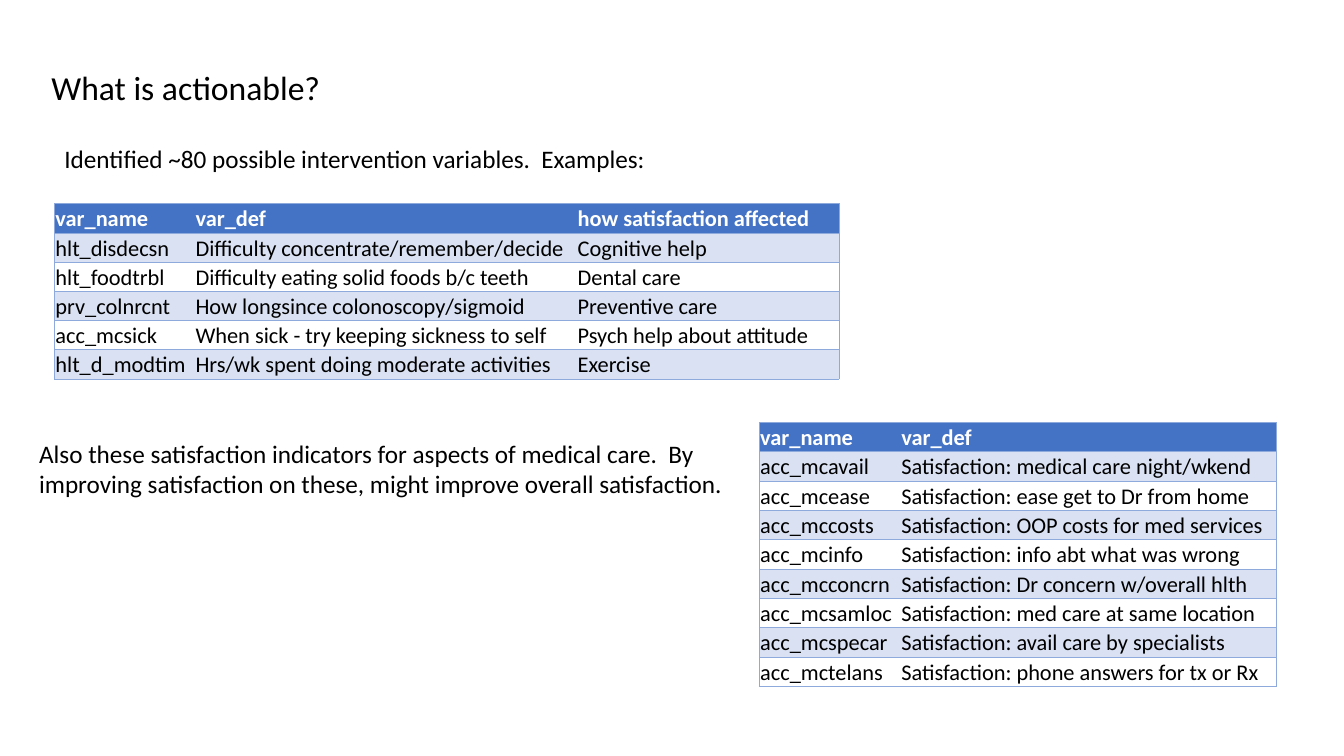
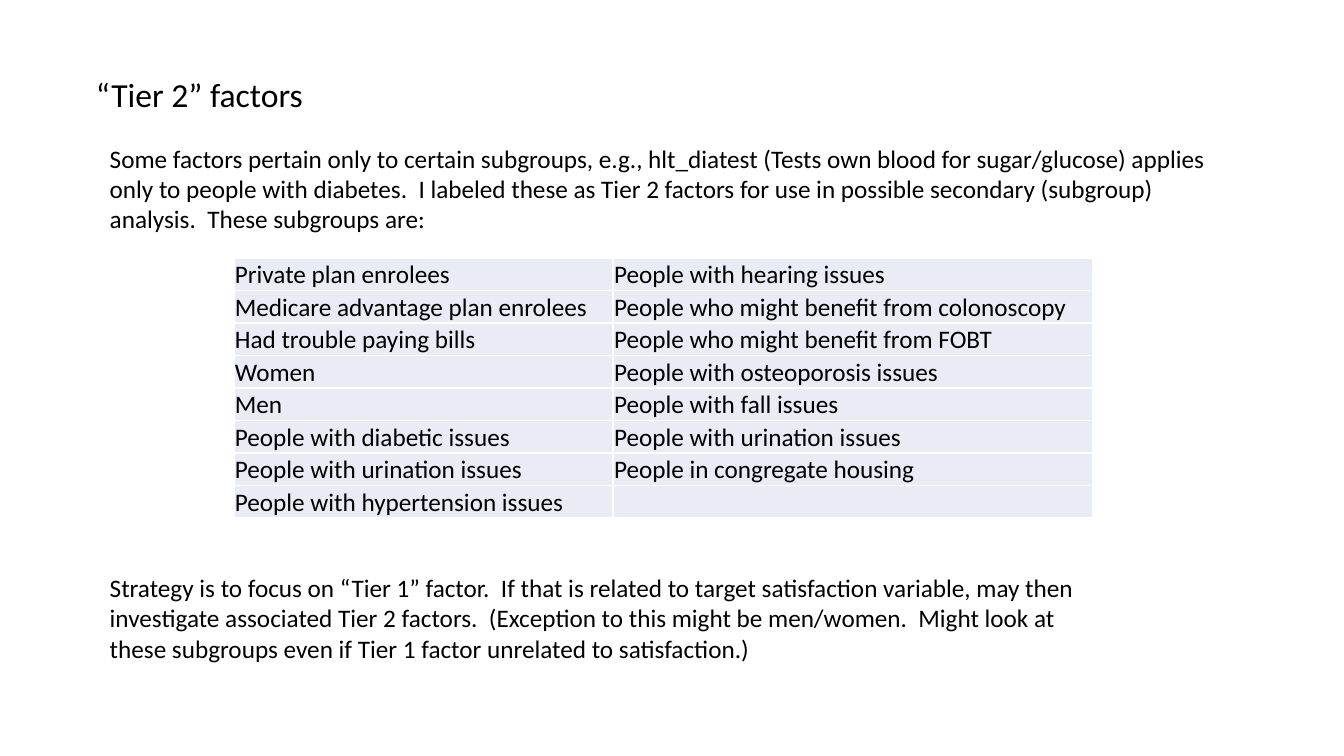
from dataclasses import dataclass

from lxml import etree
from pptx import Presentation
from pptx import util as u
from pptx.dml.color import RGBColor
from pptx.enum import text
from pptx.oxml import ns

PX = 9144


@dataclass(frozen=True)
class Theme:
    font: str = "Calibri"
    ink: str = "000000"
    paper: str = "FFFFFF"
    header: str = "4472C4"
    band: str = "D9E1F2"
    rule: str = "8EA9DB"
    plain: str = "E9EBF5"
    title_size: int = 24
    body_size: int = 18
    table_size: int = 16


@dataclass(frozen=True)
class Grid:
    header: str
    bands: tuple
    header_ink: str
    header_bold: bool
    size: int
    rule: str
    rule_width: float
    inner_columns: bool


def assign(target, values):
    for name, value in values.items():
        setattr(target, name, value)


class Deck:
    def __init__(self, theme):
        self.theme = theme
        self.show = Presentation()
        assign(self.show, {"slide_width": 1333 * PX, "slide_height": 750 * PX})
        self.slide = None
        self.variables = Grid(theme.header, (theme.band, None), theme.paper, True,
                              theme.table_size, theme.rule, 0.5, False)
        self.subgroups = Grid(theme.plain, (theme.plain,), theme.ink, False,
                              theme.body_size, theme.paper, 1, True)

    def put_words(self, frame, words, size, color, bold=False):
        paragraph = frame.paragraphs[0]
        paragraph.alignment = text.PP_ALIGN.LEFT
        if words:
            run = paragraph.add_run()
            run.text = words
            assign(run.font, {"name": self.theme.font, "size": u.Pt(size), "bold": bold})
            run.font.color.rgb = RGBColor.from_string(color)

    def fill_frame(self, frame, words, size):
        assign(frame, {"word_wrap": True,
                       "auto_size": text.MSO_AUTO_SIZE.SHAPE_TO_FIT_TEXT,
                       "vertical_anchor": text.MSO_ANCHOR.TOP})
        self.put_words(frame, words, size, self.theme.ink)

    def start(self, title, left, top, width):
        self.slide = self.show.slides.add_slide(self.show.slide_layouts[5])
        heading = self.slide.shapes.title
        assign(heading, {"left": left * PX, "top": top * PX,
                         "width": width * PX, "height": 50 * PX})
        self.fill_frame(heading.text_frame, title, self.theme.title_size)

    def body(self, words, left, top, width, height):
        box = self.slide.shapes.add_textbox(*(n * PX for n in (left, top, width, height)))
        self.fill_frame(box.text_frame, words, self.theme.body_size)

    def edge(self, cell, side, grid, visible):
        line = etree.SubElement(cell._tc.get_or_add_tcPr(), ns.qn(f"a:ln{side}"),
                                w=str(u.Pt(grid.rule_width)))
        if visible:
            paint = etree.SubElement(line, ns.qn("a:solidFill"))
            etree.SubElement(paint, ns.qn("a:srgbClr"), val=grid.rule)
        else:
            etree.SubElement(line, ns.qn("a:noFill"))

    def table(self, rows, grid, left, top, widths, height):
        table = self.slide.shapes.add_table(
            len(rows), len(widths), left * PX, top * PX, sum(widths) * PX, height * PX).table
        for column, width in zip(table.columns, widths):
            column.width = width * PX
        for r, row in enumerate(rows):
            table.rows[r].height = height * PX // len(rows)
            fill = grid.bands[(r - 1) % len(grid.bands)] if r else grid.header
            color = self.theme.ink if r else grid.header_ink
            for c, words in enumerate(row):
                cell = table.cell(r, c)
                assign(cell, {"margin_left": PX, "margin_right": PX, "margin_top": PX,
                              "margin_bottom": 0, "vertical_anchor": text.MSO_ANCHOR.BOTTOM})
                self.put_words(cell.text_frame, words, grid.size, color,
                               grid.header_bold and r == 0)
                self.edge(cell, "L", grid, grid.inner_columns or c == 0)
                self.edge(cell, "R", grid, grid.inner_columns or c == len(row) - 1)
                self.edge(cell, "T", grid, True)
                self.edge(cell, "B", grid, True)
                if fill:
                    cell.fill.solid()
                    cell.fill.fore_color.rgb = RGBColor.from_string(fill)
                else:
                    cell.fill.background()


INTERVENTIONS = [
    ("var_name", "var_def", "how satisfaction affected"),
    ("hlt_disdecsn", "Difficulty concentrate/remember/decide", "Cognitive help"),
    ("hlt_foodtrbl", "Difficulty eating solid foods b/c teeth", "Dental care"),
    ("prv_colnrcnt", "How longsince colonoscopy/sigmoid", "Preventive care"),
    ("acc_mcsick", "When sick - try keeping sickness to self", "Psych help about attitude"),
    ("hlt_d_modtim", "Hrs/wk spent doing moderate activities", "Exercise"),
]
INDICATORS = [
    ("var_name", "var_def"),
    ("acc_mcavail", "Satisfaction: medical care night/wkend"),
    ("acc_mcease", "Satisfaction: ease get to Dr from home"),
    ("acc_mccosts", "Satisfaction: OOP costs for med services"),
    ("acc_mcinfo", "Satisfaction: info abt what was wrong"),
    ("acc_mcconcrn", "Satisfaction: Dr concern w/overall hlth"),
    ("acc_mcsamloc", "Satisfaction: med care at same location"),
    ("acc_mcspecar", "Satisfaction: avail care by specialists"),
    ("acc_mctelans", "Satisfaction: phone answers for tx or Rx"),
]
SUBGROUPS = [
    ("Private plan enrolees", "People with hearing issues"),
    ("Medicare advantage plan enrolees", "People who might benefit from colonoscopy"),
    ("Had trouble paying bills", "People who might benefit from FOBT"),
    ("Women", "People with osteoporosis issues"),
    ("Men", "People with fall issues"),
    ("People with diabetic issues", "People with urination issues"),
    ("People with urination issues", "People in congregate housing"),
    ("People with hypertension issues", ""),
]


def main():
    deck = Deck(Theme())

    deck.start("What is actionable?", 41, 61, 1101)
    deck.body("Identified ~80 possible intervention variables.  Examples:", 54, 137, 1185, 40)
    deck.table(INTERVENTIONS, deck.variables, 54, 202, (139, 379, 260), 174)
    deck.body("Also these satisfaction indicators for aspects of medical care.  By improving "
              "satisfaction on these, might improve overall satisfaction.", 29, 430, 713, 71)
    deck.table(INDICATORS, deck.variables, 753, 419, (140, 373), 262)

    deck.start("“Tier 2” factors", 85, 68, 1163)
    deck.body("Some factors pertain only to certain subgroups, e.g., hlt_diatest (Tests own blood "
              "for sugar/glucose) applies only to people with diabetes.  I labeled these as Tier 2 "
              "factors for use in possible secondary (subgroup) analysis.  These subgroups are:",
              99, 137, 1140, 101)
    deck.table(SUBGROUPS, deck.subgroups, 232, 256, (376, 476), 258)
    deck.body("Strategy is to focus on “Tier 1” factor.  If that is related to target satisfaction "
              "variable, may then investigate associated Tier 2 factors.  (Exception to this might "
              "be men/women.  Might look at these subgroups even if Tier 1 factor unrelated to "
              "satisfaction.)", 99, 563, 986, 101)

    deck.show.save("out.pptx")


if __name__ == "__main__":
    main()
